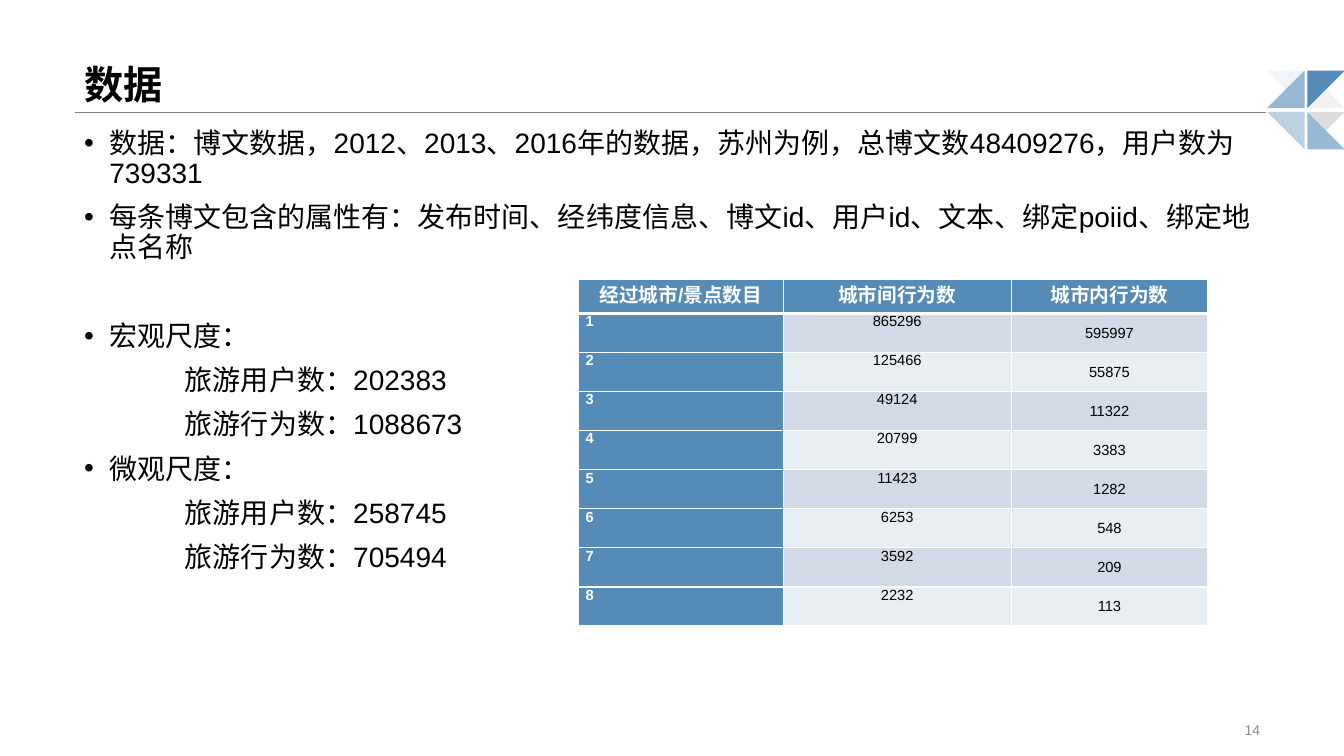
from dataclasses import dataclass

import lxml.etree
import pptx
import pptx.dml.color
import pptx.enum.shapes
import pptx.enum.text
import pptx.oxml
import pptx.oxml.ns
import pptx.slide
import pptx.table
import pptx.text.text
import pptx.util

Pt = pptx.util.Pt
RGBColor = pptx.dml.color.RGBColor
Align = pptx.enum.text.PP_ALIGN
Anchor = pptx.enum.text.MSO_ANCHOR
qn = pptx.oxml.ns.qn

FONT = "Arial"
BLACK = RGBColor(0x00, 0x00, 0x00)
WHITE = RGBColor(0xFF, 0xFF, 0xFF)
RULE_GRAY = RGBColor(0x80, 0x80, 0x80)
NUMBER_GRAY = RGBColor(0x8C, 0x8C, 0x8C)
LIGHT_GRAY = RGBColor(0xBF, 0xBF, 0xBF)
DARK_GRAY = RGBColor(0x59, 0x59, 0x59)
BLUE = RGBColor(0x54, 0x8B, 0xB7)
MID_BLUE = RGBColor(0x98, 0xB9, 0xD4)
PALE_BLUE = RGBColor(0xBB, 0xD1, 0xE2)
BANDS = (RGBColor(0xD1, 0xDA, 0xE6), RGBColor(0xE9, 0xEE, 0xF3))

TILE_SIZE = 26.8
TILE_LEFTS = (905.1, 933.8)
TILE_TOPS = (50.4, 79.9)

COLUMN_WIDTHS = (146.2, 162.8, 140.4)
HEADER_HEIGHT = 24.5
ROW_HEIGHT = 27.9
HEADERS = ("经过城市/景点数目", "城市间行为数", "城市内行为数")
BETWEEN_CITIES = (865296, 125466, 49124, 20799, 11423, 6253, 3592, 2232)
WITHIN_CITY = (595997, 55875, 11322, 3383, 1282, 548, 209, 113)


@dataclass(frozen=True)
class Triangle:
    """A triangle in one tile of the corner ornament; corners are shares of the tile."""
    column: int
    row: int
    corners: tuple[tuple[float, float], ...]
    color: RGBColor
    opacity: int = 100


@dataclass(frozen=True)
class Line:
    text: str
    bullet: bool = True
    space_before: float = 10


@dataclass(frozen=True)
class CellStyle:
    fill: RGBColor
    color: RGBColor
    size: float = 10.5
    bold: bool = False
    align: Align = Align.CENTER
    anchor: Anchor = Anchor.TOP
    bottom_border: float = 1


TRIANGLES = (
    Triangle(1, 0, ((0, 0), (0, 1), (1, 1)), LIGHT_GRAY, 20),
    Triangle(0, 0, ((1, 0), (0, 0), (1, 1)), PALE_BLUE, 20),
    Triangle(1, 0, ((1, 0), (0, 0), (0, 1)), BLUE),
    Triangle(1, 1, ((1, 0), (0, 0), (0.5, 0.5)), DARK_GRAY, 20),
    Triangle(0, 0, ((0, 1), (1, 1), (1, 0)), MID_BLUE),
    Triangle(0, 1, ((1, 1), (1, 0), (0, 0)), PALE_BLUE),
    Triangle(1, 1, ((0, 0), (0, 1), (1, 1)), MID_BLUE),
)

LINES = (
    Line("数据：博文数据，2012、2013、2016年的数据，苏州为例，总博文数48409276，用户数为739331"),
    Line("每条博文包含的属性有：发布时间、经纬度信息、博文id、用户id、文本、绑定poiid、绑定地点名称"),
    Line("宏观尺度：", space_before=41.5),
    Line("旅游用户数：202383", bullet=False),
    Line("旅游行为数：1088673", bullet=False),
    Line("微观尺度："),
    Line("旅游用户数：258745", bullet=False),
    Line("旅游行为数：705494", bullet=False),
)


def format_runs(para: pptx.text.text._Paragraph, size: float, color: RGBColor,
                bold: bool = False) -> None:
    for span in para.runs:
        span.font.name = FONT
        span.font.size = Pt(size)
        span.font.bold = bold
        span.font.color.rgb = color


def add_text_box(page: pptx.slide.Slide, left: float, top: float, width: float,
                 height: float, text: str, anchor: Anchor) -> pptx.text.text.TextFrame:
    box = page.shapes.add_textbox(Pt(left), Pt(top), Pt(width), Pt(height))
    frame = box.text_frame
    frame.word_wrap = True
    frame.vertical_anchor = anchor
    frame.text = text
    return frame


def add_rule(page: pptx.slide.Slide) -> None:
    rule = page.shapes.add_connector(
        pptx.enum.shapes.MSO_CONNECTOR.STRAIGHT, Pt(53.3), Pt(80.2), Pt(904.5), Pt(80.2))
    rule.line.color.rgb = RULE_GRAY
    rule.line.width = Pt(0.25)
    lxml.etree.SubElement(rule._element.spPr, qn("a:effectLst"))


def add_triangle(page: pptx.slide.Slide, triangle: Triangle) -> None:
    left, top = TILE_LEFTS[triangle.column], TILE_TOPS[triangle.row]
    points = [(Pt(left + x * TILE_SIZE), Pt(top + y * TILE_SIZE)) for x, y in triangle.corners]
    builder = page.shapes.build_freeform(*points[0])
    builder.add_line_segments(points[1:], close=True)
    shape = builder.convert_to_shape()
    shape.shadow.inherit = False
    shape.line.fill.background()
    shape.fill.solid()
    shape.fill.fore_color.rgb = triangle.color
    if triangle.opacity < 100:
        color = shape._element.spPr.find(qn("a:solidFill"))[0]
        lxml.etree.SubElement(color, qn("a:alpha"), val=str(triangle.opacity * 1000))


def format_line(para: pptx.text.text._Paragraph, line: Line) -> None:
    para.line_spacing = 0.9
    para.space_before = Pt(line.space_before)
    format_runs(para, 20, BLACK)
    properties = para._p.get_or_add_pPr()
    properties.set("marL", str(Pt(18 if line.bullet else 72)))
    properties.set("indent", str(Pt(-18 if line.bullet else 0)))
    if line.bullet:
        lxml.etree.SubElement(properties, qn("a:buFont"), typeface=FONT)
        lxml.etree.SubElement(properties, qn("a:buChar"), char="•")


def add_borders(cell: pptx.table._Cell, bottom: float) -> None:
    properties = cell._tc.get_or_add_tcPr()
    for side, width in (("L", 1), ("R", 1), ("T", 1), ("B", bottom)):
        border = lxml.etree.SubElement(properties, qn(f"a:ln{side}"), w=str(Pt(width)))
        fill = lxml.etree.SubElement(border, qn("a:solidFill"))
        lxml.etree.SubElement(fill, qn("a:srgbClr"), val=str(WHITE))


def fill_cell(cell: pptx.table._Cell, text: str, style: CellStyle) -> None:
    add_borders(cell, style.bottom_border)
    cell.fill.solid()
    cell.fill.fore_color.rgb = style.fill
    cell.margin_left = cell.margin_right = Pt(5.1)
    cell.margin_top = cell.margin_bottom = 0
    cell.vertical_anchor = style.anchor
    cell.text_frame.text = text
    para = cell.text_frame.paragraphs[0]
    para.alignment = style.align
    format_runs(para, style.size, style.color, style.bold)


def add_behaviour_table(page: pptx.slide.Slide) -> None:
    count = len(BETWEEN_CITIES)
    table = page.shapes.add_table(
        count + 1, len(HEADERS), Pt(413.3), Pt(199.5), Pt(sum(COLUMN_WIDTHS)),
        Pt(HEADER_HEIGHT + count * ROW_HEIGHT)).table
    for column, width in zip(table.columns, COLUMN_WIDTHS):
        column.width = Pt(width)
    for index, row in enumerate(table.rows):
        row.height = Pt(ROW_HEIGHT if index else HEADER_HEIGHT)

    header = CellStyle(BLUE, WHITE, size=14, bold=True, bottom_border=3)
    for column, text in enumerate(HEADERS):
        fill_cell(table.cell(0, column), text, header)
    label = CellStyle(BLUE, WHITE, bold=True, align=Align.LEFT)
    for index, (between, within) in enumerate(zip(BETWEEN_CITIES, WITHIN_CITY), start=1):
        band = BANDS[(index - 1) % 2]
        fill_cell(table.cell(index, 0), str(index), label)
        fill_cell(table.cell(index, 1), str(between), CellStyle(band, BLACK))
        fill_cell(table.cell(index, 2), str(within),
                  CellStyle(band, BLACK, anchor=Anchor.MIDDLE))


def main() -> None:
    deck = pptx.Presentation()
    deck.slide_width, deck.slide_height = Pt(960), Pt(540)
    page = deck.slides.add_slide(deck.slide_layouts[6])

    add_rule(page)
    for triangle in TRIANGLES:
        add_triangle(page, triangle)

    title = add_text_box(page, 53, 0, 854, 80.6, "数据", Anchor.BOTTOM).paragraphs[0]
    title.line_spacing = 0.9
    format_runs(title, 28, BLACK, bold=True)

    body = add_text_box(page, 53, 88.6, 853, 395.3,
                        "\n".join(line.text for line in LINES), Anchor.TOP)
    for para, line in zip(body.paragraphs, LINES):
        format_line(para, line)

    number = add_text_box(page, 678.2, 512.9, 229, 16.6, "14", Anchor.MIDDLE).paragraphs[0]
    number.alignment = Align.RIGHT
    format_runs(number, 10, NUMBER_GRAY)

    add_behaviour_table(page)
    deck.save("out.pptx")


if __name__ == "__main__":
    main()
